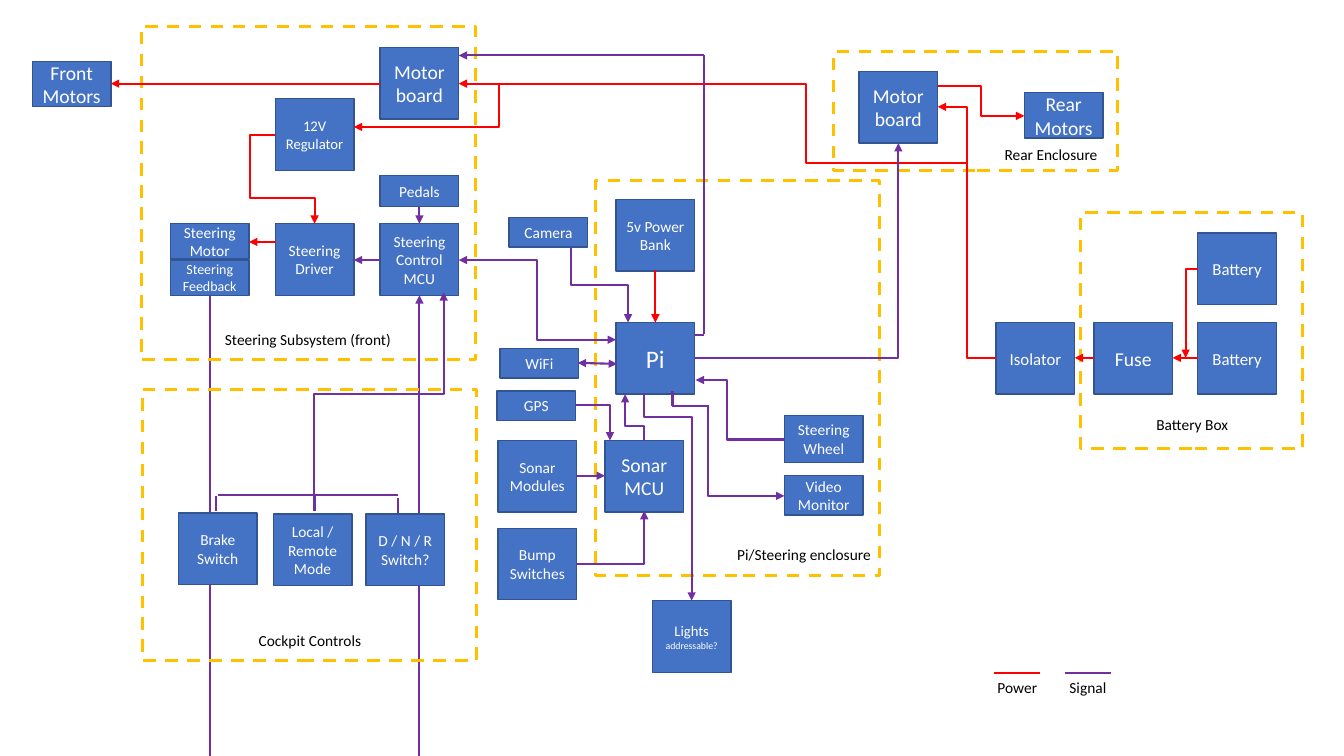
import pptx
import pptx.util
import pptx.dml.color
import pptx.enum.dml
import pptx.enum.shapes
import pptx.enum.text
from lxml import etree
from pptx.oxml.ns import qn
from pptx.util import Inches

RGBColor = pptx.dml.color.RGBColor
BLUE = RGBColor(0x44, 0x72, 0xC4)
EDGE = RGBColor(0x32, 0x54, 0x91)
GOLD = RGBColor(0xFF, 0xC0, 0x00)
WHITE = RGBColor(0xFF, 0xFF, 0xFF)
BLACK = RGBColor(0x00, 0x00, 0x00)
POWER = RGBColor(0xFF, 0x00, 0x00)
SIGNAL = RGBColor(0x70, 0x30, 0xA0)
RECT = pptx.enum.shapes.MSO_SHAPE.RECTANGLE
KIND = pptx.enum.shapes.MSO_CONNECTOR
WIDE, TALL = 0.78, 0.71

deck = pptx.Presentation()
deck.slide_width, deck.slide_height = Inches(13.33), Inches(7.5)
shapes = deck.slides.add_slide(deck.slide_layouts[6]).shapes


def write(shape, text, size, color):
    frame = shape.text_frame
    frame.word_wrap = True
    frame.text = text
    for par in frame.paragraphs:
        par.alignment = pptx.enum.text.PP_ALIGN.CENTER
        par.font.name = "Calibri"
        par.font.size = pptx.util.Pt(size)
        par.font.color.rgb = color


def route(color, ends, *points):
    """Draw one connector through the points; ends is '', 'head', 'tail' or 'both'."""
    (x1, y1), (x2, y2) = points[0], points[-1]
    dx, dy = x2 - x1, y2 - y1
    bends = len(points) - 2
    turn = 0
    if bends and points[1][0] == x1:  # leaves upwards or downwards: a turned elbow
        turn = 90 if dx * dy < 0 else 270
        sign = 1 if turn == 90 else -1
        midx, midy = (x1 + x2) / 2, (y1 + y2) / 2
        halfx, halfy = sign * dy / 2, -sign * dx / 2
        x1, y1, x2, y2 = midx - halfx, midy - halfy, midx + halfx, midy + halfy
    wire = shapes.add_connector(KIND.ELBOW if bends else KIND.STRAIGHT, *map(Inches, (x1, y1, x2, y2)))
    props = wire._element.spPr
    if bends:
        props.find(qn("a:xfrm")).set("rot", str(turn * 60000))
        form = props.find(qn("a:prstGeom"))
        form.set("prst", f"bentConnector{bends + 1}")
        guides = form.find(qn("a:avLst"))
        if guides is None:
            guides = etree.SubElement(form, qn("a:avLst"))
        for i in range(1, bends):
            across = (i % 2 == 1) != bool(turn)
            if across:
                part = (points[i][0] - points[0][0]) / dx
            else:
                part = (points[i + (0 if turn else 1)][1] - points[0][1]) / dy
            etree.SubElement(guides, qn("a:gd"), name=f"adj{i}", fmla=f"val {round(part * 100000)}")
    wire.line.color.rgb = color
    wire.line.width = pptx.util.Pt(1.5)
    stroke = wire.line._get_or_add_ln()
    if ends in ("head", "both"):
        etree.SubElement(stroke, qn("a:headEnd"), type="triangle")
    if ends in ("tail", "both"):
        etree.SubElement(stroke, qn("a:tailEnd"), type="triangle")
    etree.SubElement(props, qn("a:effectLst"))


# Long signal lines that run behind the cockpit boxes
route(SIGNAL, "", (2.08, 2.93), (2.08, 7.5))
route(SIGNAL, "tail", (4.16, 7.5), (4.16, 2.93))

# Boxes: text, left, top, height, text size
boxes = [
    ("Pi", 6.11, 3.2, TALL, 18),
    ("5v Power Bank", 6.11, 1.98, TALL, 11),
    ("Motor board", 8.52, 0.71, TALL, 14),
    ("Motor board", 3.77, 0.47, TALL, 14),
    ("Rear Motors", 10.16, 0.92, 0.45, 14),
    ("Front Motors", 0.32, 0.61, 0.45, 14),
    ("Fuse", 10.85, 3.2, TALL, 14),
    ("Battery", 11.88, 3.2, TALL, 12),
    ("Battery", 11.88, 2.31, TALL, 12),
    ("Isolator", 9.88, 3.2, TALL, 12),
    ("Pedals", 3.77, 1.74, 0.31, 11),
    ("Steering Control\nMCU", 3.77, 2.22, TALL, 11),
    ("Steering Driver", 2.73, 2.22, TALL, 11),
    ("Steering Motor", 1.69, 2.22, 0.35, 11),
    ("Steering Feedback", 1.69, 2.58, 0.35, 10),
    ("12V Regulator", 2.73, 0.98, TALL, 10.5),
    ("Sonar MCU", 6, 4.37, TALL, 14),
    ("Sonar Modules", 4.94, 4.37, TALL, 11),
    ("Bump Switches", 4.94, 5.24, TALL, 11),
    ("Camera", 5.05, 2.16, 0.29, 11),
    ("WiFi", 4.96, 3.46, 0.29, 11),
    ("GPS", 4.93, 3.88, 0.29, 11),
    ("Steering Wheel", 7.78, 4.12, 0.47, 11),
    ("Video Monitor", 7.78, 4.72, 0.39, 11),
    ("Brake Switch", 1.77, 5.09, TALL, 11),
    ("Local / Remote Mode", 2.71, 5.1, TALL, 11),
    ("D / N / R Switch?", 3.63, 5.1, TALL, 11),
    ("Lights ", 6.47, 5.96, TALL, 10.5),
]
for text, left, top, high, size in boxes:
    box = shapes.add_shape(RECT, *map(Inches, (left, top, WIDE, high)))
    box.shadow.inherit = False
    box.fill.solid()
    box.fill.fore_color.rgb = BLUE
    box.line.color.rgb = EDGE
    box.line.width = pptx.util.Pt(1)
    box.text_frame.vertical_anchor = pptx.enum.text.MSO_ANCHOR.MIDDLE
    write(box, text, size, WHITE)

# Small note in the lights box, which is the last one
note = box.text_frame.paragraphs[0].add_run()
note.text = "addressable?"
note.font.size = pptx.util.Pt(7)

# Dashed enclosures
for area in [
    (10.72, 2.11, 2.2, 2.34),
    (1.4, 0.26, 3.32, 3.31),
    (5.91, 1.79, 2.81, 3.92),
    (1.41, 3.86, 3.32, 2.69),
    (8.27, 0.51, 2.81, 1.18),
]:
    zone = shapes.add_shape(RECT, *map(Inches, area))
    zone.shadow.inherit = False
    zone.fill.background()
    zone.line.color.rgb = GOLD
    zone.line.width = pptx.util.Pt(2.25)
    zone.line.dash_style = pptx.enum.dml.MSO_LINE.DASH

# Enclosure names and legend words
for text, left, top, wide in [
    ("Battery Box", 10.85, 4.07, 1.95),
    ("Steering Subsystem (front)", 1.49, 3.23, 3.13),
    ("Pi/Steering enclosure", 6.89, 5.36, 2.17),
    ("Cockpit Controls", 1.51, 6.21, 3.13),
    ("Rear Enclosure", 9.71, 1.39, 1.43),
    ("Power", 9.78, 6.68, 0.62),
    ("Signal", 10.48, 6.68, 0.62),
]:
    label = shapes.add_textbox(*map(Inches, (left, top, wide, 0.29)))
    write(label, text, 11, BLACK)

# Power lines
route(POWER, "tail", (9.3, 0.85), (9.73, 0.85), (9.73, 1.15), (10.16, 1.15))
route(POWER, "tail", (9.59, 1.62), (7.99, 1.62), (7.99, 0.83), (4.55, 0.83))
route(POWER, "head", (9.3, 1.06), (9.59, 1.06), (9.59, 3.55), (9.88, 3.55))
route(POWER, "tail", (5.11, 0.83), (4.95, 0.83), (4.95, 1.26), (3.51, 1.26))
route(POWER, "tail", (2.73, 1.34), (2.48, 1.34), (2.48, 1.96), (3.12, 1.96), (3.12, 2.22))
route(POWER, "tail", (11.88, 2.67), (11.76, 2.67), (11.76, 3.55))
route(POWER, "tail", (11.88, 3.55), (11.63, 3.55))
route(POWER, "tail", (10.85, 3.55), (10.66, 3.55))
route(POWER, "tail", (6.5, 2.68), (6.5, 3.2))
route(POWER, "tail", (2.74, 2.4), (2.47, 2.4))
route(POWER, "tail", (3.77, 0.83), (1.1, 0.83))

# Signal lines of the steering and cockpit parts
route(SIGNAL, "tail", (4.16, 2.05), (4.16, 2.22))
route(SIGNAL, "tail", (3.77, 2.58), (3.51, 2.58))
route(SIGNAL, "both", (4.55, 2.58), (5.33, 2.58), (5.33, 3.37), (6.11, 3.37))
route(SIGNAL, "tail", (3.11, 4.92), (3.11, 3.91), (4.4, 3.91), (4.4, 2.9))
route(SIGNAL, "", (3.95, 4.91), (2.16, 4.91))
route(SIGNAL, "", (3.95, 5.09), (3.95, 4.94))
route(SIGNAL, "", (3.12, 5.07), (3.12, 4.91))
route(SIGNAL, "", (2.14, 5.07), (2.14, 4.92))

# Signal lines around the Pi
route(SIGNAL, "", (6.89, 3.32), (6.98, 3.32))
route(SIGNAL, "", (6.98, 0.55), (6.98, 3.31))
route(SIGNAL, "tail", (6.98, 0.55), (4.55, 0.55))
route(SIGNAL, "tail", (6.89, 3.55), (8.91, 3.55), (8.91, 1.42))
route(SIGNAL, "tail", (5.66, 2.46), (5.66, 2.83), (6.23, 2.83), (6.23, 3.2))
route(SIGNAL, "both", (5.73, 3.6), (6.12, 3.61))
route(SIGNAL, "tail", (5.71, 4.02), (6.05, 4.02), (6.05, 4.37))
route(SIGNAL, "head", (6.2, 3.91), (6.2, 4.23), (6.39, 4.23), (6.39, 4.37))
route(SIGNAL, "tail", (5.72, 4.72), (6, 4.72))
route(SIGNAL, "tail", (5.72, 5.6), (6.39, 5.6), (6.39, 5.07))
route(SIGNAL, "head", (6.86, 5.96), (6.86, 4.14), (6.39, 4.14), (6.39, 3.9))
route(SIGNAL, "head", (6.9, 3.77), (7.21, 3.77), (7.21, 4.36), (7.78, 4.36))
route(SIGNAL, "head", (7.78, 4.92), (7.02, 4.92), (7.02, 4.02))
route(SIGNAL, "", (7.02, 4.03), (6.67, 4.03))
route(SIGNAL, "", (6.67, 4.03), (6.67, 3.88))

# Legend strokes
route(POWER, "", (9.86, 6.68), (10.32, 6.68))
route(SIGNAL, "", (10.56, 6.68), (11.02, 6.68))

deck.save("out.pptx")
